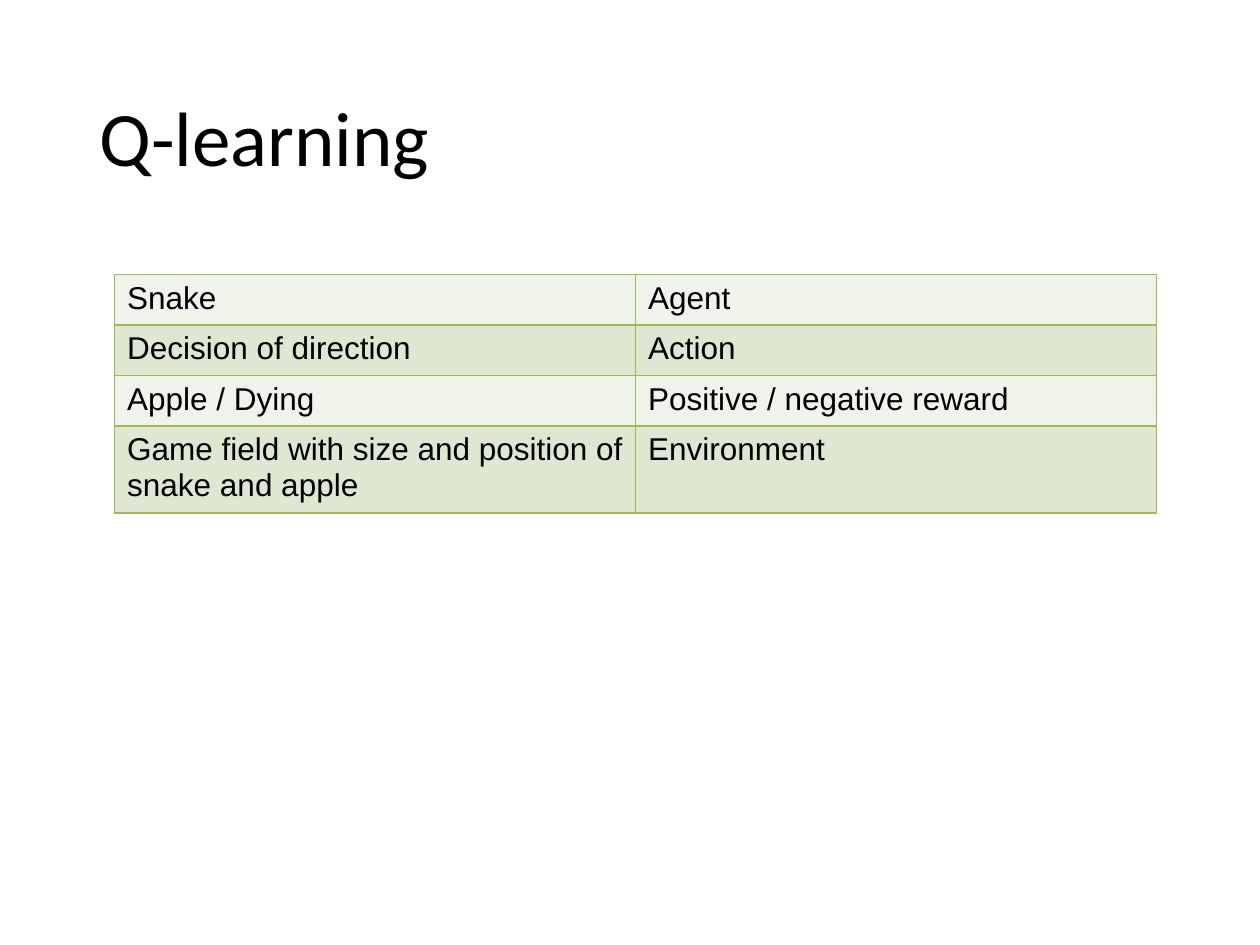
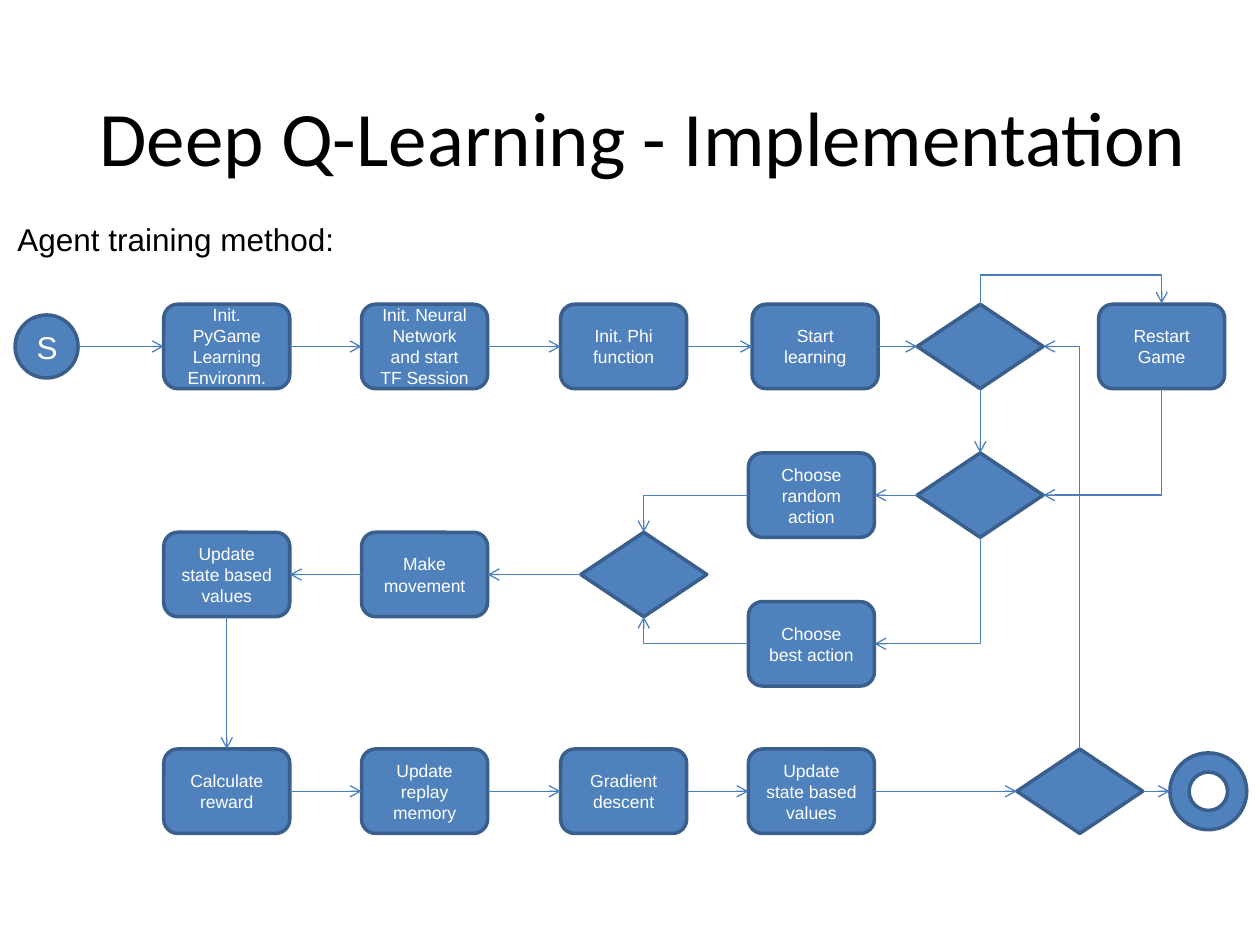
from dataclasses import dataclass

from lxml import etree
from pptx import Presentation
from pptx.dml.color import RGBColor
from pptx.enum.shapes import MSO_CONNECTOR, MSO_SHAPE
from pptx.enum.text import MSO_ANCHOR, PP_ALIGN
from pptx.oxml.ns import qn
from pptx.util import Inches, Pt

BOX = MSO_SHAPE.FLOWCHART_ALTERNATE_PROCESS
DECISION = MSO_SHAPE.FLOWCHART_DECISION
START = MSO_SHAPE.FLOWCHART_CONNECTOR
END = MSO_SHAPE.DONUT
STRAIGHT, ELBOW = MSO_CONNECTOR.STRAIGHT, MSO_CONNECTOR.ELBOW
MIDDLE, LEFT_ALIGN, CENTER = MSO_ANCHOR.MIDDLE, PP_ALIGN.LEFT, PP_ALIGN.CENTER
TOP, LEFT, BOTTOM, RIGHT = range(4)

COLORS = {
    "text": "000000", "node_text": "FFFFFF", "node": "4F81BD",
    "node_line": "3A5F8C", "arrow": "4B7EBC",
    "grid": "9BBB59", "light_row": "EFF3EA", "dark_row": "DEE7D1",
}
HEAD_FONT, BODY_FONT = "Calibri", "Arial"

# Flowchart grid: centres of columns and rows, in inches
COLS = {"start": 0.37, "a": 1.8, "b": 3.37, "c": 4.95, "merge": 5.11, "d": 6.44,
        "learn": 6.47, "e": 7.78, "loop": 8.57, "f": 9.22, "end": 9.59}
ROWS = {"init": 2.75, "random": 3.93, "move": 4.56, "best": 5.11, "update": 6.28}
NODE_SIZE = (1, 0.67)
LOOP_RISE = 0.24
LOOP_STEP = 0.01


@dataclass(frozen=True)
class Node:
    name: str
    col: str
    row: str
    text: str = ""
    kind: MSO_SHAPE = BOX
    size: tuple[float, float] = NODE_SIZE
    font_size: int = 10

    def side(self, side: int) -> tuple[float, float]:
        """Middle of one side of the node."""
        dx, dy = ((0, -0.5), (-0.5, 0), (0, 0.5), (0.5, 0))[side]
        return COLS[self.col] + dx * self.size[0], ROWS[self.row] + dy * self.size[1]


@dataclass(frozen=True)
class Arrow:
    start: str
    end: str
    out: int = RIGHT
    into: int = LEFT


MAPPING = [
    ("Snake", "Agent"),
    ("Decision of direction", "Action"),
    ("Apple / Dying", "Positive / negative reward"),
    ("Game field with size and position of snake and apple", "Environment"),
]

NODES = [
    Node("start", "start", "init", "S", START, (0.5, 0.5), 18),
    Node("environment", "a", "init", "Init. PyGame Learning Environm."),
    Node("network", "b", "init", "Init. Neural Network and start TF Session"),
    Node("phi", "c", "init", "Init. Phi function"),
    Node("learn", "learn", "init", "Start learning"),
    Node("game over?", "e", "init", kind=DECISION),
    Node("restart", "f", "init", "Restart Game"),
    Node("explore?", "e", "random", kind=DECISION),
    Node("random", "d", "random", "Choose random action"),
    Node("best", "d", "best", "Choose best action"),
    Node("merge", "merge", "move", kind=DECISION),
    Node("move", "b", "move", "Make movement"),
    Node("state", "a", "move", "Update state based values"),
    Node("reward", "a", "update", "Calculate reward"),
    Node("memory", "b", "update", "Update replay memory"),
    Node("descent", "c", "update", "Gradient descent"),
    Node("values", "d", "update", "Update state based values"),
    Node("done?", "loop", "update", kind=DECISION),
    Node("end", "end", "update", kind=END, size=(0.61, 0.61)),
]

ARROWS = [
    Arrow("start", "environment"),
    Arrow("environment", "network"),
    Arrow("network", "phi"),
    Arrow("phi", "learn"),
    Arrow("learn", "game over?"),
    Arrow("game over?", "restart", TOP, TOP),
    Arrow("game over?", "explore?", BOTTOM, TOP),
    Arrow("restart", "explore?", BOTTOM, RIGHT),
    Arrow("explore?", "random", LEFT, RIGHT),
    Arrow("explore?", "best", BOTTOM, RIGHT),
    Arrow("random", "merge", LEFT, TOP),
    Arrow("best", "merge", LEFT, BOTTOM),
    Arrow("merge", "move", LEFT, RIGHT),
    Arrow("move", "state", LEFT, RIGHT),
    Arrow("state", "reward", BOTTOM, TOP),
    Arrow("reward", "memory"),
    Arrow("memory", "descent"),
    Arrow("descent", "values"),
    Arrow("values", "done?"),
    Arrow("done?", "end"),
    Arrow("done?", "game over?", TOP, RIGHT),
]


def rgb(name: str) -> RGBColor:
    return RGBColor.from_string(COLORS[name])


def style(p, size: float, color: str = "text", font: str = BODY_FONT) -> None:
    p.font.size, p.font.name = Pt(size), font
    p.font.color.rgb = rgb(color)


def add_title_slide(prs, title: str, width: float):
    s = prs.slides.add_slide(prs.slide_layouts[5])
    sp = s.shapes.title
    sp.left, sp.top, sp.width, sp.height = map(Inches, (0.69, 0.4, width, 1.45))
    tf = sp.text_frame
    tf.text, tf.vertical_anchor, tf.word_wrap = title, MIDDLE, True
    p = tf.paragraphs[0]
    p.alignment, p.line_spacing = LEFT_ALIGN, 0.9
    style(p, 44, font=HEAD_FONT)
    return s


def add_cell_borders(cell, color: str, width: float) -> None:
    tc_pr = cell._tc.get_or_add_tcPr()
    for edge in ("lnL", "lnR", "lnT", "lnB"):
        ln = etree.SubElement(tc_pr, qn(f"a:{edge}"), w=str(Pt(width)))
        fill = etree.SubElement(ln, qn("a:solidFill"))
        etree.SubElement(fill, qn("a:srgbClr"), val=COLORS[color])


def add_mapping_table(s, rows: list[tuple[str, str]]) -> None:
    heights = [0.4, 0.4, 0.4, 0.69]
    table = s.shapes.add_table(len(rows), 2, Inches(0.91), Inches(2.18),
                               Inches(8.27), Inches(sum(heights))).table
    table.first_row = table.horz_banding = False
    for i, (texts, height) in enumerate(zip(rows, heights)):
        table.rows[i].height = Inches(height)
        for j, text in enumerate(texts):
            cell = table.cell(i, j)
            cell.text = text
            style(cell.text_frame.paragraphs[0], 18)
            add_cell_borders(cell, "grid", 1)
            cell.fill.solid()
            cell.fill.fore_color.rgb = rgb("dark_row" if i % 2 else "light_row")


def add_node(s, node: Node):
    w, h = node.size
    sp = s.shapes.add_shape(node.kind, Inches(COLS[node.col] - w / 2),
                            Inches(ROWS[node.row] - h / 2), Inches(w), Inches(h))
    sp.shadow.inherit = False
    sp.fill.solid()
    sp.fill.fore_color.rgb = rgb("node")
    sp.line.color.rgb, sp.line.width = rgb("node_line"), Pt(2)
    if node.text:
        tf = sp.text_frame
        tf.text, tf.word_wrap, tf.vertical_anchor = node.text, True, MIDDLE
        p = tf.paragraphs[0]
        p.alignment = CENTER
        style(p, node.font_size, "node_text")
    return sp


def turn(cxn, center: tuple[float, float], size: tuple[float, float],
         angle: int, flip_h: bool, flip_v: bool) -> None:
    """Rotate a connector so that it leaves its start vertically."""
    (cx, cy), (w, h) = center, size
    cxn.left, cxn.top = Inches(cx - w / 2), Inches(cy - h / 2)
    cxn.width, cxn.height = Inches(w), Inches(h)
    xfrm = cxn._element.spPr.find(qn("a:xfrm"))
    xfrm.set("rot", str(angle * 60000))
    xfrm.set("flipH", str(int(flip_h)))
    xfrm.set("flipV", str(int(flip_v)))


def bend(cxn, arrow: Arrow, begin: tuple[float, float], end: tuple[float, float]) -> None:
    """Shape an elbow: one corner, or a loop over two top sides."""
    (x1, y1), (x2, y2) = begin, end
    dx, dy = x2 - x1, y2 - y1
    center = ((x1 + x2) / 2, (y1 + y2) / 2)
    geom = cxn._element.spPr.find(qn("a:prstGeom"))
    if arrow.out == arrow.into:
        turn(cxn, center, (LOOP_STEP, abs(dx)), 90, True, True)
        guides = geom.find(qn("a:avLst"))
        etree.SubElement(guides, qn("a:gd"), name="adj1",
                         fmla=f"val {round(LOOP_RISE / LOOP_STEP * 100000)}")
        return
    geom.set("prst", "bentConnector2")
    if arrow.out in (TOP, BOTTOM):
        turn(cxn, center, (abs(dy), abs(dx)), 90 if dy > 0 else 270,
             False, (dx > 0) == (dy > 0))


def add_arrow(s, arrow: Arrow, nodes: dict, shapes: dict) -> None:
    first, last = nodes[arrow.start], nodes[arrow.end]
    begin, end = first.side(arrow.out), last.side(arrow.into)
    straight = abs(arrow.out - arrow.into) == 2
    cxn = s.shapes.add_connector(STRAIGHT if straight else ELBOW,
                                 *map(Inches, begin + end))
    if not straight:
        bend(cxn, arrow, begin, end)
    else:
        # Round nodes number their sites differently, so their ends stay free
        if first.kind in (BOX, DECISION):
            cxn.begin_connect(shapes[arrow.start], arrow.out)
        if last.kind in (BOX, DECISION):
            cxn.end_connect(shapes[arrow.end], arrow.into)
    cxn.line.color.rgb, cxn.line.width = rgb("arrow"), Pt(0.75)
    etree.SubElement(cxn.line._get_or_add_ln(), qn("a:tailEnd"), type="arrow")
    etree.SubElement(cxn._element.spPr, qn("a:effectLst"))


def add_caption(s, text: str) -> None:
    tf = s.shapes.add_textbox(*map(Inches, (0.04, 1.7, 2.74, 0.4))).text_frame
    tf.text, tf.word_wrap = text, False
    style(tf.paragraphs[0], 18)


def main() -> None:
    prs = Presentation()
    prs.slide_width, prs.slide_height = Inches(10), Inches(7.5)

    # Slide 1: game terms and learning terms
    s = add_title_slide(prs, "Q-learning", 8.62)
    add_mapping_table(s, MAPPING)

    # Slide 2: training flowchart
    s = add_title_slide(prs, "Deep Q-Learning - Implementation", 9.2)
    nodes = {node.name: node for node in NODES}
    shapes = {name: add_node(s, node) for name, node in nodes.items()}
    for arrow in ARROWS:
        add_arrow(s, arrow, nodes, shapes)
    add_caption(s, "Agent training method:")

    prs.save("out.pptx")


if __name__ == "__main__":
    main()
